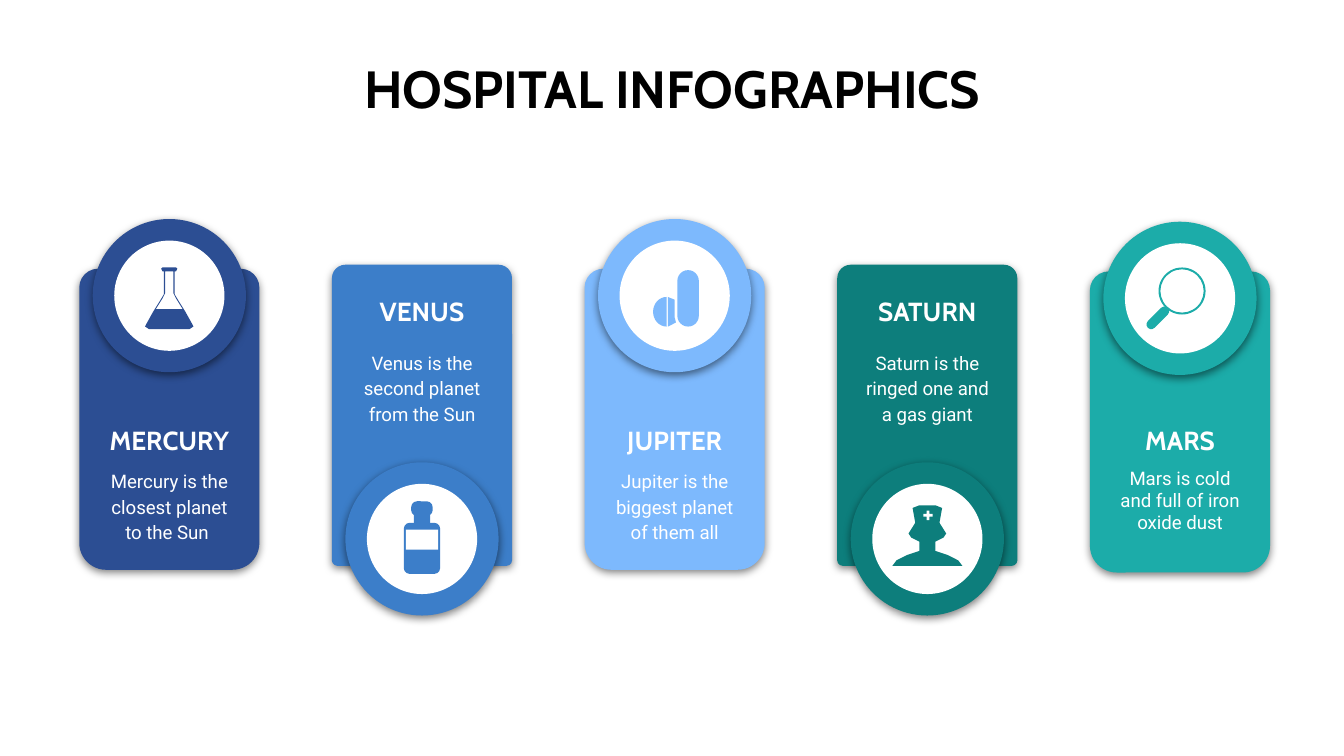
from math import cos, pi, sin

from lxml.etree import SubElement
from pptx import Presentation
from pptx.dml.color import RGBColor
from pptx.enum.shapes import MSO_SHAPE as Shape
from pptx.enum.text import MSO_ANCHOR as Anchor, MSO_AUTO_SIZE as AutoSize, PP_ALIGN as Align
from pptx.oxml.ns import qn
from pptx.util import Inches, Pt

WIDTH = 10
HEIGHT = WIDTH * 9 / 16
LEFT, PITCH = 0.59, 1.88
CARD_WIDTH, CARD_HEIGHT = 1.34, 2.24
RING, DISC, TEXT_WIDTH = 1.14, 0.82, 1.21
WHITE = "FFFFFF"


def paint(shape, color):
    """Give a shape a plain fill without line or shadow."""
    shape.shadow.inherit = False
    shape.fill.solid()
    shape.fill.fore_color.rgb = RGBColor.from_string(color)
    shape.line.fill.background()
    return shape


def add_preset(shapes, kind, box, color, rounding=(), rotation=0):
    """Add a preset shape in a box of left, top, width and height."""
    shape = paint(shapes.add_shape(kind, *map(Inches, box)), color)
    for index, value in enumerate(rounding):
        shape.adjustments[index] = value
    shape.rotation = rotation
    return shape


def add_outline(shapes, centre, contours, color):
    """Add a filled outline from contours given around a centre."""
    x, y = centre
    placed = [[(Inches(x + dx), Inches(y + dy)) for dx, dy in contour] for contour in contours]
    builder = shapes.build_freeform(*placed[0][0])
    builder.add_line_segments(placed[0][1:])
    for contour in placed[1:]:
        builder.move_to(*contour[0])
        builder.add_line_segments(contour[1:])
    return paint(builder.convert_to_shape(), color)


def mirrored(half):
    """Complete a right half outline with its left half."""
    return half + [(-x, y) for x, y in reversed(half)]


def add_shadow(shape):
    """Add a soft shadow below a shape."""
    effects = shape.element.spPr.find(qn("a:effectLst"))
    shadow = SubElement(effects, qn("a:outerShdw"), blurRad=str(Pt(4.5)), dist=str(Pt(1.5)),
                        dir="5400000", algn="bl", rotWithShape="0")
    color = SubElement(shadow, qn("a:srgbClr"), val="000000")
    SubElement(color, qn("a:alpha"), val="50000")


def write(box, text, font="Roboto", size=10, color=WHITE, bold=False, spacing=1.15):
    """Write one centred paragraph in a box."""
    frame = box.text_frame
    frame.word_wrap = True
    frame.auto_size = AutoSize.NONE
    frame.vertical_anchor = Anchor.TOP
    frame.margin_left = frame.margin_right = Inches(0.1)
    frame.margin_top = frame.margin_bottom = Inches(0.1)
    para = frame.paragraphs[0]
    para.alignment = Align.CENTER
    para.line_spacing = spacing
    span = para.add_run()
    span.text = text
    span.font.name, span.font.size, span.font.bold = font, Pt(size), bold
    span.font.color.rgb = RGBColor.from_string(color)


def add_text(slide, centre_x, top, height, text, **style):
    """Add a text box centred on a card."""
    box = slide.shapes.add_textbox(Inches(centre_x - TEXT_WIDTH / 2), Inches(top),
                                   Inches(TEXT_WIDTH), Inches(height))
    write(box, text, **style)


def add_circle(shapes, centre, size, color):
    """Add a circle around a centre."""
    x, y = centre
    return add_preset(shapes, Shape.OVAL, (x - size / 2, y - size / 2, size, size), color)


def draw_flask(shapes, centre, color):
    """Draw a half-filled laboratory flask."""
    glass = [(0.05, -0.21), (0.06, -0.2), (0.05, -0.18), (0.04, -0.18), (0.04, -0.01),
             (0.07, 0.04), (0.12, 0.12), (0.17, 0.21), (0.18, 0.23), (0.15, 0.25)]
    air = [(0.03, -0.18), (0.03, -0.02), (0.05, 0.02), (0.1, 0.1)]
    add_outline(shapes, centre, [mirrored(glass), mirrored(air)], color)


def draw_bottle(shapes, centre, color):
    """Draw a medicine bottle with a blank label."""
    x, y = centre
    rounded = Shape.ROUNDED_RECTANGLE
    for kind, top, width, height, fill, rounding in [
        (rounded, -0.28, 0.16, 0.11, color, [0.4]),
        (Shape.RECTANGLE, -0.19, 0.12, 0.09, color, []),
        (rounded, -0.12, 0.27, 0.38, color, [0.16]),
        (Shape.RECTANGLE, -0.07, 0.24, 0.15, WHITE, []),
    ]:
        add_preset(shapes, kind, (x - width / 2, y + top, width, height), fill, rounding)


def draw_pills(shapes, centre, color):
    """Draw a split tablet beside a capsule."""
    x, y = centre
    angles = [pi / 2 + pi * step / 16 for step in range(17)]
    left_half = [(-0.06 + 0.1 * cos(angle), 0.12 + 0.11 * sin(angle)) for angle in angles]
    right_half = [(-0.05, 0.01), (0, 0.03), (0, 0.16), (0.01, 0.2), (-0.05, 0.23)]
    for half in (left_half, right_half):
        add_outline(shapes, centre, [half], color)
    add_preset(shapes, Shape.ROUNDED_RECTANGLE, (x + 0.02, y - 0.19, 0.16, 0.42), color, [0.5])


def draw_nurse(shapes, centre, color):
    """Draw a nurse with a cross on the cap."""
    x, y = centre
    figure = [(0.06, -0.25), (0.11, -0.23), (0.09, -0.12), (0.14, -0.04), (0.12, -0.01),
              (0.06, 0.02), (0.06, 0.09), (0.15, 0.12), (0.23, 0.16), (0.26, 0.2)]
    add_outline(shapes, centre, [mirrored(figure)], color)
    add_preset(shapes, Shape.CROSS, (x - 0.03, y - 0.21, 0.07, 0.07), WHITE, [0.35])


def draw_magnifier(shapes, centre, color):
    """Draw a magnifying glass."""
    x, y = centre
    add_preset(shapes, Shape.DONUT, (x - 0.16, y - 0.23, 0.35, 0.35), color, [0.04])
    add_preset(shapes, Shape.ROUNDED_RECTANGLE, (x - 0.27, y + 0.11, 0.21, 0.07), color, [0.5], -45)


def add_card(slide, column, name, text, color, draw_icon, badge_low=False, drop=0, spacing=1.15):
    """Add one card with its badge, icon and texts."""
    left = LEFT + column * PITCH
    centre_x = left + CARD_WIDTH / 2
    if badge_low:
        top, badge_y, name_y, text_y, radii = 1.97, 4.01, 2.06, 2.49, (0.1, 0.04)
    else:
        top, badge_y, name_y, text_y, radii = 2 + drop, 2.2 + drop, 3.02, 3.37, (0.14, 0.2)
    centre = (centre_x, badge_y)
    shapes = slide.shapes.add_group_shape().shapes
    rounding = [radius / CARD_WIDTH for radius in radii]
    add_shadow(add_preset(shapes, Shape.ROUND_2_SAME_RECTANGLE,
                          (left, top, CARD_WIDTH, CARD_HEIGHT), color, rounding))
    add_shadow(add_circle(shapes, centre, RING, color))
    add_circle(shapes, centre, DISC, WHITE)
    draw_icon(shapes, centre, color)
    add_text(slide, centre_x, name_y, 0.42, name, font="Cabin", size=14, bold=True)
    add_text(slide, centre_x, text_y, 0.68, text, spacing=spacing)


def add_title(slide, text):
    """Place and write the slide title."""
    title = slide.shapes.title
    title.left, title.top = Inches(0.34), Inches(0.32)
    title.width, title.height = Inches(WIDTH - 0.68), Inches(0.63)
    write(title, text, font="Cabin", size=28, color="000000", bold=True, spacing=1.0)


def main():
    """Build and save the deck."""
    deck = Presentation()
    deck.slide_width, deck.slide_height = Inches(WIDTH), Inches(HEIGHT)
    slide = deck.slides.add_slide(deck.slide_layouts[5])
    add_title(slide, "HOSPITAL INFOGRAPHICS")
    add_card(slide, 0, "MERCURY", "Mercury is the closest planet to the Sun ", "2C4E93", draw_flask)
    add_card(slide, 1, "VENUS", "Venus is the second planet from the Sun", "3C7EC9", draw_bottle,
             badge_low=True)
    add_card(slide, 2, "JUPITER", "Jupiter is the biggest planet of them all", "7DB9FD", draw_pills)
    add_card(slide, 3, "SATURN", "Saturn is the ringed one and a gas giant", "0D7E7C", draw_nurse,
             badge_low=True)
    add_card(slide, 4, "MARS", "Mars is cold and full of iron oxide dust", "1CACA9", draw_magnifier,
             drop=0.02, spacing=1.0)
    deck.save("out.pptx")


if __name__ == "__main__":
    main()
